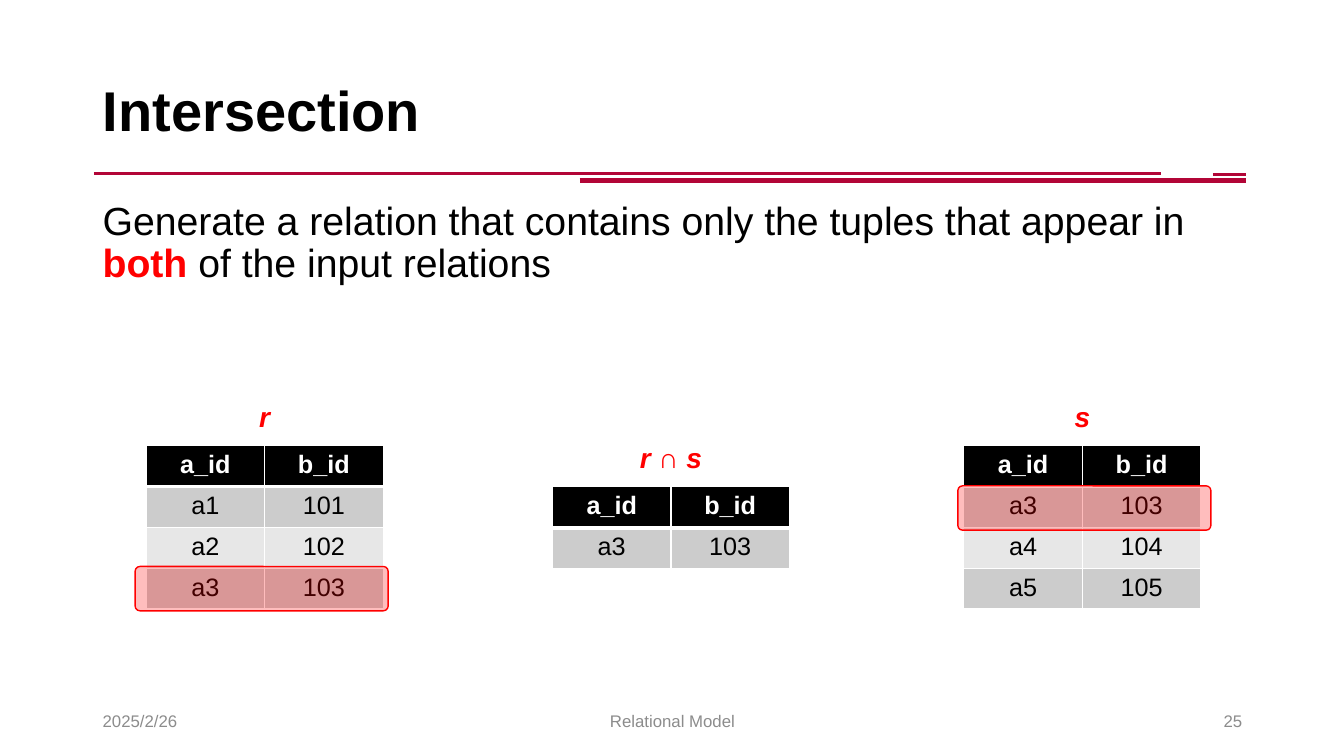
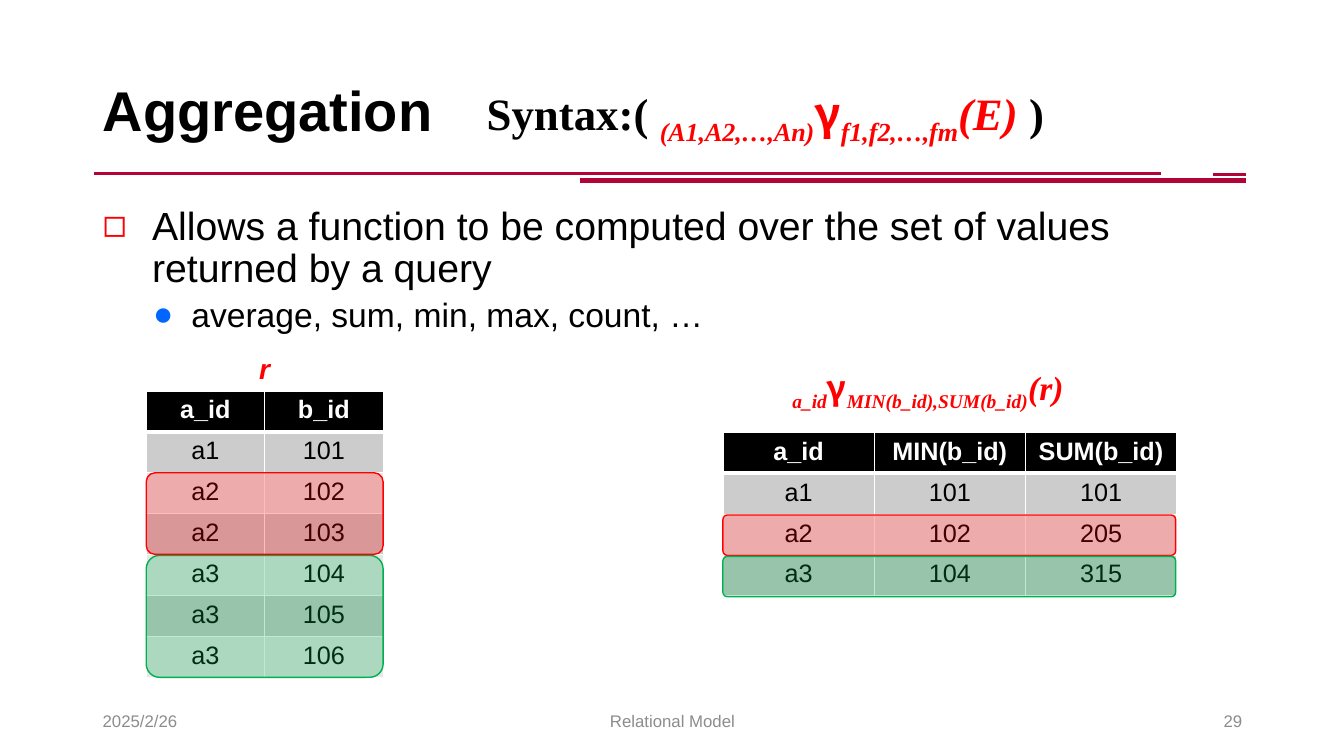
from lxml.etree import SubElement
from pptx import Presentation
from pptx.dml.color import RGBColor
from pptx.enum.shapes import MSO_CONNECTOR, MSO_SHAPE
from pptx.enum.text import MSO_ANCHOR, MSO_AUTO_SIZE, PP_ALIGN
from pptx.oxml.ns import qn
from pptx.util import Inches, Pt

BLACK = RGBColor(0x00, 0x00, 0x00)
WHITE = RGBColor(0xFF, 0xFF, 0xFF)
RED = RGBColor(0xFF, 0x00, 0x00)
GREEN = RGBColor(0x00, 0xB0, 0x50)
BLUE = RGBColor(0x00, 0x66, 0xFF)
CRIMSON = RGBColor(0xB2, 0x05, 0x37)
FOOTER_GRAY = RGBColor(0x8C, 0x8C, 0x8C)
ROW_FILLS = (RGBColor(0xCC, 0xCC, 0xCC), RGBColor(0xE7, 0xE7, 0xE7))

SANS = "Arial"
SERIF = "Times New Roman"
GREEK = "Noto Sans CJK SC"
ROW_HEIGHT = Pt(29.2)
MARGIN = 0.92
CONTENT_WIDTH = 11.5
TITLE_RULES = ((0.93, 11.52, 1.72, 2), (5.75, 12.36, 1.79, 4), (12.03, 12.36, 1.73, 2))
FOOTER_BOXES = ((MARGIN, 3, PP_ALIGN.LEFT), (4.42, 4.5, PP_ALIGN.CENTER), (9.42, 3, PP_ALIGN.RIGHT))


def add_run(paragraph, text, size, color=BLACK, font=SANS, bold=False, italic=False, subscript=False):
    """Append one formatted run to a paragraph."""
    run = paragraph.add_run()
    run.text = text
    run.font.size = Pt(size)
    run.font.name = font
    run.font.color.rgb = color
    run.font.bold = bold
    run.font.italic = italic
    if subscript:
        run.font._element.set("baseline", "-25000")


def add_textbox(slide, left, top, width, height, alignment=PP_ALIGN.LEFT, anchor=MSO_ANCHOR.TOP):
    """Add a wrapping text box and return its text frame."""
    frame = slide.shapes.add_textbox(Inches(left), Inches(top), Inches(width), Inches(height)).text_frame
    frame.word_wrap = True
    frame.vertical_anchor = anchor
    frame.paragraphs[0].alignment = alignment
    return frame


def add_rule(slide, start, end, top, weight):
    """Draw a horizontal rule below the title."""
    rule = slide.shapes.add_connector(
        MSO_CONNECTOR.STRAIGHT, Inches(start), Inches(top), Inches(end), Inches(top))
    rule.line.color.rgb = CRIMSON
    rule.line.width = Pt(weight)
    SubElement(rule._element.spPr, qn("a:effectLst"))


def add_content_slide(presentation, title_text, number):
    """Add a slide with the shared title, rules and footer."""
    slide = presentation.slides.add_slide(presentation.slide_layouts[5])
    for rule in TITLE_RULES:
        add_rule(slide, *rule)
    title = slide.shapes.title
    title.left, title.top = Inches(MARGIN), Inches(0.4)
    title.width, title.height = Inches(CONTENT_WIDTH), Inches(1.45)
    frame = title.text_frame
    frame.auto_size = MSO_AUTO_SIZE.NONE
    frame.vertical_anchor = MSO_ANCHOR.MIDDLE
    paragraph = frame.paragraphs[0]
    paragraph.alignment = PP_ALIGN.LEFT
    paragraph.line_spacing = 0.9
    add_run(paragraph, title_text, 40, bold=True)
    for text, (left, width, alignment) in zip(("2025/2/26", "Relational Model", str(number)), FOOTER_BOXES):
        footer = add_textbox(slide, left, 6.95, width, 0.4, alignment, MSO_ANCHOR.MIDDLE)
        add_run(footer.paragraphs[0], text, 12, FOOTER_GRAY)
    return slide


def add_bullet(paragraph, character, color, margin, hanging):
    """Give a paragraph a coloured bullet with a hanging indent."""
    properties = paragraph._p.get_or_add_pPr()
    properties.set("marL", str(Inches(margin)))
    properties.set("indent", str(-Inches(hanging)))
    bullet_color = SubElement(properties, qn("a:buClr"))
    SubElement(bullet_color, qn("a:srgbClr"), val=str(color))
    SubElement(properties, qn("a:buFont"), typeface=SANS)
    SubElement(properties, qn("a:buChar"), char=character)


def set_borders(cell, row_index):
    """Draw white cell borders, heavier below the header row."""
    properties = cell._tc.get_or_add_tcPr()
    weights = {"lnL": 1, "lnR": 1, "lnT": 3 if row_index == 1 else 1, "lnB": 3 if row_index == 0 else 1}
    for tag, weight in weights.items():
        line = SubElement(properties, qn(f"a:{tag}"), w=str(Pt(weight)))
        SubElement(SubElement(line, qn("a:solidFill")), qn("a:srgbClr"), val=str(WHITE))


def add_relation(slide, left, top, width, rows):
    """Add a relation as a table with a black header and banded rows."""
    table = slide.shapes.add_table(
        len(rows), len(rows[0]), Inches(left), Inches(top), Inches(width), ROW_HEIGHT * len(rows)).table
    for row_index, row in enumerate(rows):
        is_header = row_index == 0
        for column_index, value in enumerate(row):
            cell = table.cell(row_index, column_index)
            set_borders(cell, row_index)
            cell.fill.solid()
            cell.fill.fore_color.rgb = BLACK if is_header else ROW_FILLS[(row_index - 1) % 2]
            paragraph = cell.text_frame.paragraphs[0]
            paragraph.alignment = PP_ALIGN.CENTER
            add_run(paragraph, value, 18, WHITE if is_header else BLACK, bold=is_header)


def add_relation_name(slide, text, left, top):
    """Write the name of a relation above its table."""
    frame = add_textbox(slide, left, top, 2.35, 0.44, PP_ALIGN.CENTER)
    add_run(frame.paragraphs[0], text, 20, RED, bold=True, italic=True)


def add_formula(paragraph, size, grouping, functions, argument):
    """Write an aggregation formula with subscripts around gamma."""
    add_run(paragraph, grouping, size, RED, SERIF, True, True, True)
    add_run(paragraph, "γ", size, RED, GREEK, True)
    add_run(paragraph, functions, size, RED, SERIF, True, True, True)
    add_run(paragraph, argument, size, RED, SERIF, True, True)


def add_highlight(slide, left, top, width, height, color):
    """Mark table rows with a translucent rounded rectangle."""
    shape = slide.shapes.add_shape(
        MSO_SHAPE.ROUNDED_RECTANGLE, Inches(left), Inches(top), Inches(width), Inches(height))
    shape.adjustments[0] = 0.11
    shape.shadow.inherit = False
    shape.fill.solid()
    shape.fill.fore_color.rgb = color
    fill_color = shape._element.spPr.find(qn("a:solidFill")).find(qn("a:srgbClr"))
    SubElement(fill_color, qn("a:alpha"), val="26000")
    shape.line.color.rgb = color
    shape.line.width = Pt(1)


def build_intersection(presentation):
    """Build the slide on intersection."""
    slide = add_content_slide(presentation, "Intersection", 25)
    paragraph = add_textbox(slide, MARGIN, 1.95, CONTENT_WIDTH, 1.05).paragraphs[0]
    paragraph.line_spacing = 0.9
    add_run(paragraph, "Generate a relation that contains only the tuples that appear in ", 28)
    add_run(paragraph, "both", 28, RED, bold=True)
    add_run(paragraph, " of the input relations", 28)
    header = ("a_id", "b_id")
    relations = (
        ("r", 1.45, 4.42, (header, ("a1", "101"), ("a2", "102"), ("a3", "103"))),
        ("s", 9.56, 4.42, (header, ("a3", "103"), ("a4", "104"), ("a5", "105"))),
        ("r ∩ s", 5.48, 4.83, (header, ("a3", "103"))),
    )
    for name, left, top, rows in relations:
        add_relation(slide, left, top, 2.35, rows)
        add_relation_name(slide, name, left, top - 0.51)
    for left, top in ((1.34, 5.62), (9.5, 4.82)):
        add_highlight(slide, left, top, 2.51, 0.44, RED)


def build_aggregation(presentation):
    """Build the slide on aggregation."""
    slide = add_content_slide(presentation, "Aggregation", 29)
    body = add_textbox(slide, MARGIN, 2, CONTENT_WIDTH, 1.45)
    paragraph = body.paragraphs[0]
    add_bullet(paragraph, "◻", RED, 0.49, 0.49)
    paragraph.line_spacing = 0.9
    add_run(paragraph, "Allows a function to be computed over the set of values returned by a query", 28)
    paragraph = body.add_paragraph()
    paragraph.level = 1
    add_bullet(paragraph, "●", BLUE, 0.88, 0.38)
    paragraph.line_spacing = 0.9
    paragraph.space_before = Pt(5)
    add_run(paragraph, "average, sum, min, max, count, …", 24)

    syntax = add_textbox(slide, 4.55, 0.8, 6.08, 0.64, PP_ALIGN.CENTER).paragraphs[0]
    add_run(syntax, "Syntax:( ", 32, font=SERIF, bold=True)
    add_formula(syntax, 32, "(A1,A2,…,An)", "f1,f2,…,fm", "(E) ")
    add_run(syntax, ")", 32, font=SERIF, bold=True)

    add_relation(slide, 1.45, 3.88, 2.35, (
        ("a_id", "b_id"), ("a1", "101"), ("a2", "102"), ("a2", "103"),
        ("a3", "104"), ("a3", "105"), ("a3", "106")))
    add_relation_name(slide, "r", 1.45, 3.44)
    result_formula = add_textbox(slide, 7.76, 3.59, 3.31, 0.5).paragraphs[0]
    add_formula(result_formula, 24, "a_id", "MIN(b_id),SUM(b_id)", "(r)")
    add_relation(slide, 7.17, 4.29, 4.5, (
        ("a_id", "MIN(b_id)", "SUM(b_id)"), ("a1", "101", "101"),
        ("a2", "102", "205"), ("a3", "104", "315")))
    add_highlight(slide, 1.45, 5.51, 2.35, 1.21, GREEN)
    add_highlight(slide, 1.45, 4.69, 2.35, 0.81, RED)
    add_highlight(slide, 7.17, 5.11, 4.49, 0.4, RED)
    add_highlight(slide, 7.17, 5.52, 4.49, 0.4, GREEN)


def main():
    """Build and save the presentation."""
    presentation = Presentation()
    presentation.slide_width = Inches(13.33)
    presentation.slide_height = Inches(7.5)
    build_intersection(presentation)
    build_aggregation(presentation)
    presentation.save("out.pptx")


if __name__ == "__main__":
    main()
